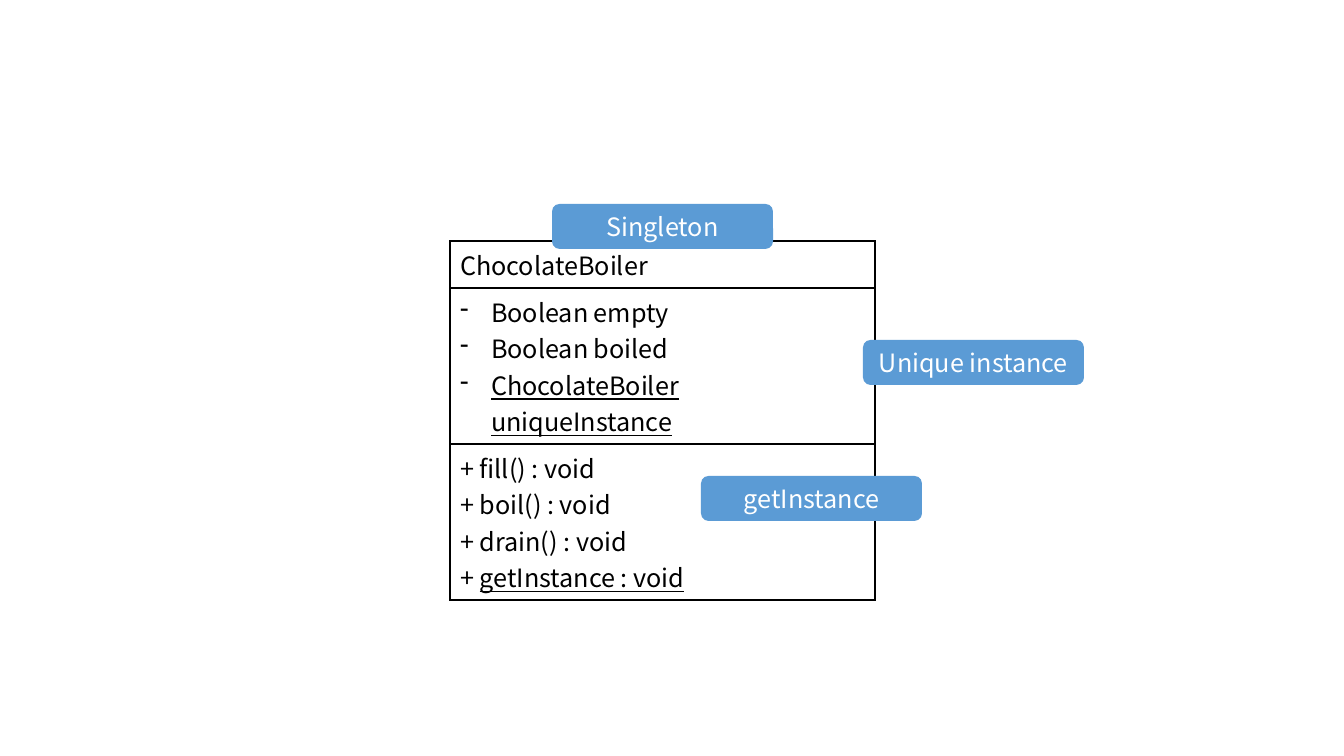
from lxml.etree import SubElement, Element
from pptx import Presentation
from pptx.dml.color import RGBColor
from pptx.enum.shapes import MSO_SHAPE as Shape
from pptx.enum.text import MSO_ANCHOR as Anchor, PP_ALIGN as Align
from pptx.oxml.ns import qn
from pptx.util import Emu, Pt

COLORS = {"ink": "000000", "label": "5B9BD5", "label_text": "FFFFFF"}
FONT = "Noto Sans CJK KR"


def px(n):
    return Emu(round(n * 914400 / 100.8))


def format_runs(paragraph, color):
    for run in paragraph.runs:
        run.font.size = Pt(18)
        run.font.name = FONT
        run.font.color.rgb = RGBColor.from_string(COLORS[color])


deck = Presentation()
deck.slide_width, deck.slide_height = px(1344), px(756)
slide = deck.slides.add_slide(deck.slide_layouts[6])

# Class diagram: name, fields, methods
compartments = [
    (47, ["ChocolateBoiler"]),
    (156, ["Boolean empty", "Boolean boiled", "ChocolateBoiler uniqueInstance"]),
    (156, ["+ fill() : void", "+ boil() : void", "+ drain() : void", "+ "]),
]
class_height = sum(height for height, _ in compartments)
class_box = slide.shapes.add_table(
    len(compartments), 1, px(450), px(241), px(425), px(class_height)).table
class_box.first_row = class_box.horz_banding = False

for row, (height, members) in enumerate(compartments):
    class_box.rows[row].height = px(height)
    cell = class_box.cell(row, 0)
    cell.text_frame.text = "\n".join(members)
    cell.fill.background()

    # Thin black border on every side
    borders = cell._tc.get_or_add_tcPr()
    for place, side in enumerate(["lnL", "lnR", "lnT", "lnB"]):
        border = Element(qn(f"a:{side}"), w=str(Pt(1)))
        ink = SubElement(border, qn("a:solidFill"))
        SubElement(ink, qn("a:srgbClr"), val=COLORS["ink"])
        borders.insert(place, border)

# Dashes before the fields
fields = class_box.cell(1, 0).text_frame.paragraphs
for field in fields:
    indent = field._p.get_or_add_pPr()
    indent.set("marL", str(px(31)))
    indent.set("indent", str(-px(31)))
    SubElement(indent, qn("a:buChar"), char="-")

# Static members are underlined
fields[-1].runs[0].font.underline = True
get_instance = class_box.cell(2, 0).text_frame.paragraphs[-1].add_run()
get_instance.text = "getInstance : void"
get_instance.font.underline = True

for cell in class_box.iter_cells():
    for member in cell.text_frame.paragraphs:
        format_runs(member, "ink")

# Labels over the diagram
for caption, left, top in [("Unique instance", 863, 340),
                           ("Singleton", 552, 204),
                           ("getInstance", 701, 476)]:
    label = slide.shapes.add_shape(
        Shape.ROUNDED_RECTANGLE, px(left), px(top), px(221), px(45))
    label.shadow.inherit = False
    label.fill.solid()
    label.fill.fore_color.rgb = RGBColor.from_string(COLORS["label"])
    label.line.fill.background()
    label.text_frame.text = caption
    label.text_frame.word_wrap = True
    label.text_frame.vertical_anchor = Anchor.MIDDLE
    label.text_frame.paragraphs[0].alignment = Align.CENTER
    format_runs(label.text_frame.paragraphs[0], "label_text")

deck.save("out.pptx")
